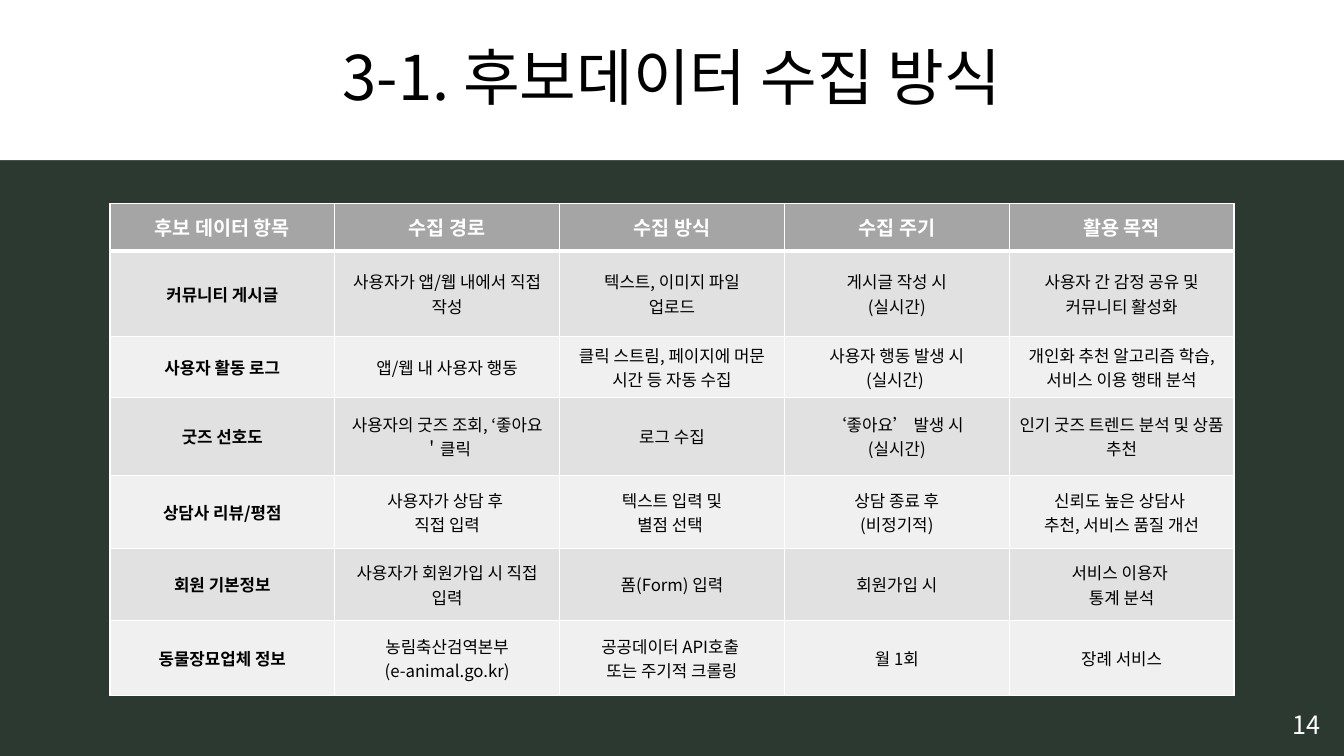
from lxml import etree
from pptx import Presentation
from pptx.dml.color import RGBColor
from pptx.enum.text import MSO_ANCHOR, MSO_AUTO_SIZE, PP_ALIGN
from pptx.oxml.ns import qn
from pptx.util import Inches, Pt

MIDDLE = MSO_ANCHOR.MIDDLE
CENTER = PP_ALIGN.CENTER
FIXED = MSO_AUTO_SIZE.NONE

GREEN = RGBColor(0x2C, 0x39, 0x30)
WHITE = RGBColor(0xFF, 0xFF, 0xFF)
BLACK = RGBColor(0x00, 0x00, 0x00)
GRAY = RGBColor(0xA5, 0xA5, 0xA5)
BANDS = (RGBColor(0xE1, 0xE1, 0xE1), RGBColor(0xF0, 0xF0, 0xF0))
FONT = "Noto Sans CJK KR"

WIDTH, HEIGHT = Inches(13.33), Inches(7.5)
COL = Inches(2.23)
ROWS = (0.47, 0.85, 0.6, 0.78, 0.72, 0.72, 0.74)

DATA = (
    ("후보 데이터 항목", "수집 경로", "수집 방식", "수집 주기", "활용 목적"),
    ("커뮤니티 게시글", "사용자가 앱/웹 내에서 직접 작성",
     "텍스트, 이미지 파일\n업로드", "게시글 작성 시\n(실시간)",
     "사용자 간 감정 공유 및 커뮤니티 활성화"),
    ("사용자 활동 로그", "앱/웹 내 사용자 행동",
     "클릭 스트림, 페이지에 머문 시간 등 자동 수집",
     "사용자 행동 발생 시\n(실시간) ",
     "개인화 추천 알고리즘 학습, 서비스 이용 행태 분석"),
    ("굿즈 선호도", "사용자의 굿즈 조회, ‘좋아요＇클릭", "로그 수집",
     "‘좋아요’ 발생 시\n(실시간)", "인기 굿즈 트렌드 분석 및 상품 추천"),
    ("상담사 리뷰/평점", "사용자가 상담 후 \n직접 입력",
     "텍스트 입력 및\n별점 선택 ", "상담 종료 후\n(비정기적)",
     "신뢰도 높은 상담사 \n추천, 서비스 품질 개선"),
    ("회원 기본정보", "사용자가 회원가입 시 직접 입력", "폼(Form) 입력",
     "회원가입 시", "서비스 이용자 \n통계 분석"),
    ("동물장묘업체 정보", "농림축산검역본부\n(e-animal.go.kr)",
     "공공데이터 API호출 \n또는 주기적 크롤링", "월 1회", "장례 서비스"),
)


def write(frame, text, size=12, color=BLACK, bold=False, space=None):
    """Fill a text frame with one centred paragraph per line of text."""
    frame.text = text
    for para in frame.paragraphs:
        para.alignment = CENTER
        para.line_spacing = space
        for run in para.runs:
            font = run.font
            font.name, font.size, font.bold = FONT, Pt(size), bold
            font.color.rgb = color
            props = run._r.get_or_add_rPr()
            etree.SubElement(props, qn("a:ea"), typeface=FONT)


def paint(part, color):
    part.fill.solid()
    part.fill.fore_color.rgb = color


def border(cell, top, bottom):
    """Draw white cell edges; top and bottom widths are in points."""
    props = cell._tc.get_or_add_tcPr()
    edges = (("L", 1), ("R", 1), ("T", top), ("B", bottom))
    for place, (side, width) in enumerate(edges):
        line = etree.Element(qn(f"a:ln{side}"), w=str(Pt(width)))
        fill = etree.SubElement(line, qn("a:solidFill"))
        etree.SubElement(fill, qn("a:srgbClr"), val=str(WHITE))
        props.insert(place, line)


def add_title(slide, text):
    title = slide.shapes.title
    title.left, title.top = 0, 0
    title.width, title.height = WIDTH, Inches(1.59)
    paint(title, WHITE)
    frame = title.text_frame
    frame.auto_size = FIXED
    frame.vertical_anchor = MIDDLE
    write(frame, text, size=44, space=0.9)


def add_page(slide, text):
    wide, high = Inches(0.74), Inches(0.4)
    box = slide.shapes.add_textbox(WIDTH - wide, Inches(6.99), wide, high)
    box.text_frame.word_wrap = True
    write(box.text_frame, text, size=18, color=WHITE)


def add_grid(slide):
    count = len(DATA[0])
    wide = COL * count
    table = slide.shapes.add_table(
        len(DATA), count, (WIDTH - wide) // 2, Inches(2.02),
        wide, Inches(sum(ROWS))).table
    for col in table.columns:
        col.width = COL
    for r, (texts, high) in enumerate(zip(DATA, ROWS)):
        table.rows[r].height = Inches(high)
        head = r == 0
        for c, text in enumerate(texts):
            cell = table.cell(r, c)
            cell.vertical_anchor = MIDDLE
            paint(cell, GRAY if head else BANDS[(r - 1) % 2])
            border(cell, 3 if r == 1 else 1, 3 if head else 1)
            write(cell.text_frame, text, size=14 if head else 12,
                  color=WHITE if head else BLACK, bold=head or c == 0)


def main():
    deck = Presentation()
    deck.slide_width, deck.slide_height = WIDTH, HEIGHT
    slide = deck.slides.add_slide(deck.slide_layouts[5])
    paint(slide.background, GREEN)
    add_title(slide, "3-1. 후보데이터 수집 방식")
    add_page(slide, "14")
    add_grid(slide)
    deck.save("out.pptx")


if __name__ == "__main__":
    main()
